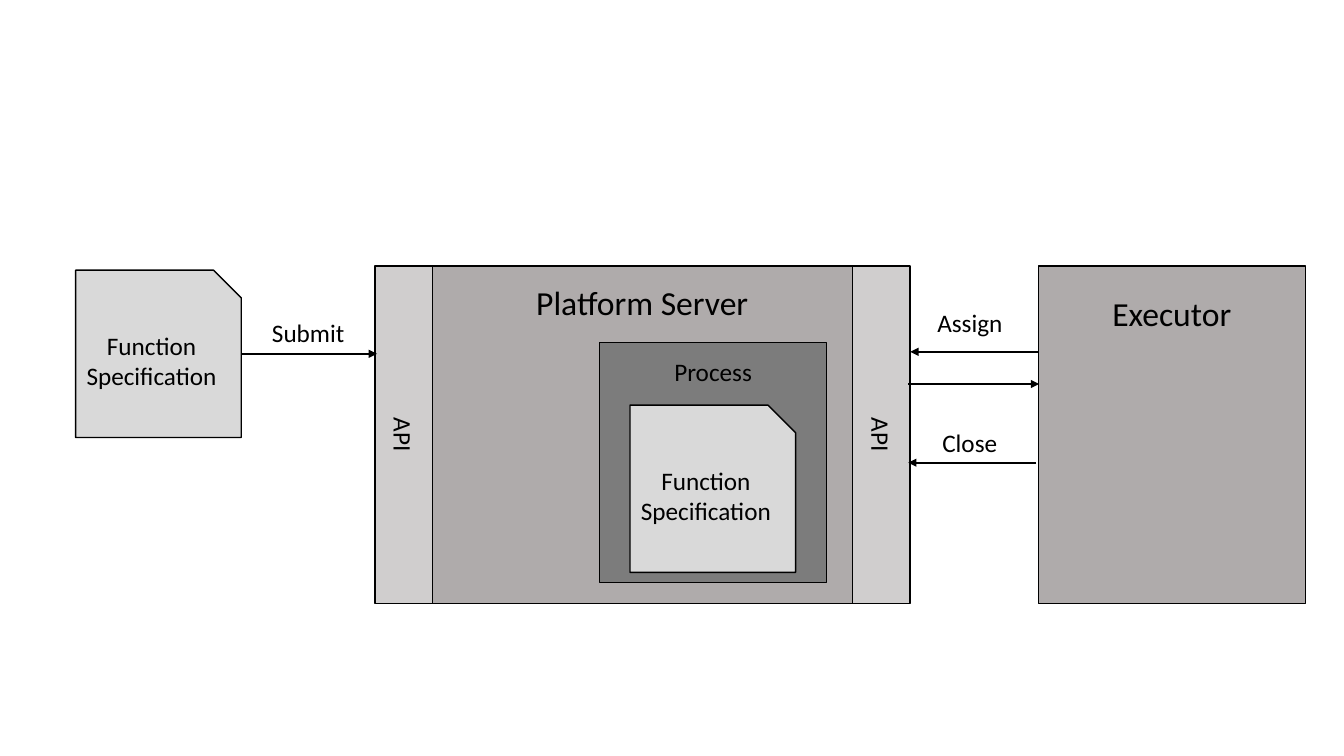
"""Build a slide showing how a function specification travels from server to executor."""
from lxml import etree
from pptx import Presentation
from pptx.dml.color import RGBColor
from pptx.enum import shapes, text
from pptx.oxml import ns
from pptx.util import Pt

BLACK = RGBColor(0x00, 0x00, 0x00)
PANEL = RGBColor(0xAF, 0xAB, 0xAB)
PROCESS = RGBColor(0x7C, 0x7C, 0x7C)
DOCUMENT = RGBColor(0xD9, 0xD9, 0xD9)
API = RGBColor(0xD0, 0xCE, 0xCE)

RECTANGLE = shapes.MSO_SHAPE.RECTANGLE
SNIPPED = shapes.MSO_SHAPE.SNIP_1_RECTANGLE
CENTER = text.PP_ALIGN.CENTER
LEFT = text.PP_ALIGN.LEFT


def write_text(shape, lines, size, alignment):
    for index, line in enumerate(lines):
        frame = shape.text_frame
        paragraph = frame.add_paragraph() if index else frame.paragraphs[0]
        paragraph.alignment = alignment
        run = paragraph.add_run()
        run.text = line
        for name, value in {"name": "Calibri", "size": Pt(size)}.items():
            setattr(run.font, name, value)
        run.font.color.rgb = BLACK


presentation = Presentation()
presentation.slide_width, presentation.slide_height = Pt(960), Pt(540)
slide = presentation.slides.add_slide(presentation.slide_layouts[6])

top, height = 190, 241.2
specification = ["Function", "Specification"]
boxes = [
    (RECTANGLE, 308.2, top, 301, height, 0, PANEL, []),
    (RECTANGLE, 741.6, top, 190.8, height, 0, PANEL, []),
    (RECTANGLE, 428.4, 244.8, 162, 171.4, 0, PROCESS, []),
    (SNIPPED, 54, 193, 118.3, 119.5, 0, DOCUMENT, specification),
    (SNIPPED, 450, 289.4, 118.3, 119.5, 0, DOCUMENT, specification),
    (RECTANGLE, 167.8, 290.2, height, 41, 90, API, ["API"]),
    (RECTANGLE, 509, 290.2, height, 41, 90, API, ["API"]),
]
for kind, left, y, width, tall, rotation, color, lines in boxes:
    shape = slide.shapes.add_shape(kind, Pt(left), Pt(y), Pt(width), Pt(tall))
    shape.shadow.inherit = False
    shape.rotation = rotation
    shape.fill.solid()
    shape.fill.fore_color.rgb = color
    shape.line.color.rgb = BLACK
    shape.line.width = Pt(1)
    shape.text_frame.vertical_anchor = text.MSO_ANCHOR.MIDDLE
    write_text(shape, lines, 18, CENTER)

labels = [
    ("Platform Server", 308.2, 198, 301, 36, 24, CENTER),
    ("Executor", 741.6, 206, 190.8, 36, 24, CENTER),
    ("Process", 428.4, 251.3, 162, 29, 18, CENTER),
    ("Submit", 187.2, 223.2, 67, 29, 18, LEFT),
    ("Assign", 662.4, 216, 61.2, 29, 18, LEFT),
    ("Close", 666, 301.7, 54, 29, 18, LEFT),
]
for label, left, y, width, tall, size, alignment in labels:
    shape = slide.shapes.add_textbox(Pt(left), Pt(y), Pt(width), Pt(tall))
    shape.text_frame.word_wrap = alignment == CENTER
    write_text(shape, [label], size, alignment)

arrows = [
    (172.3, 269.3, 252.7),
    (741.6, 650.2, 251.3),
    (648.7, 742.3, 274.3),
    (740.2, 648.7, 330.5),
]
for start, end, y in arrows:
    arrow = slide.shapes.add_connector(
        shapes.MSO_CONNECTOR.STRAIGHT, Pt(start), Pt(y), Pt(end), Pt(y))
    arrow.line.color.rgb = BLACK
    arrow.line.width = Pt(1.25)
    etree.SubElement(arrow.line._get_or_add_ln(), ns.qn("a:tailEnd"), type="triangle")
    etree.SubElement(arrow._element.spPr, ns.qn("a:effectLst"))

presentation.save("out.pptx")
